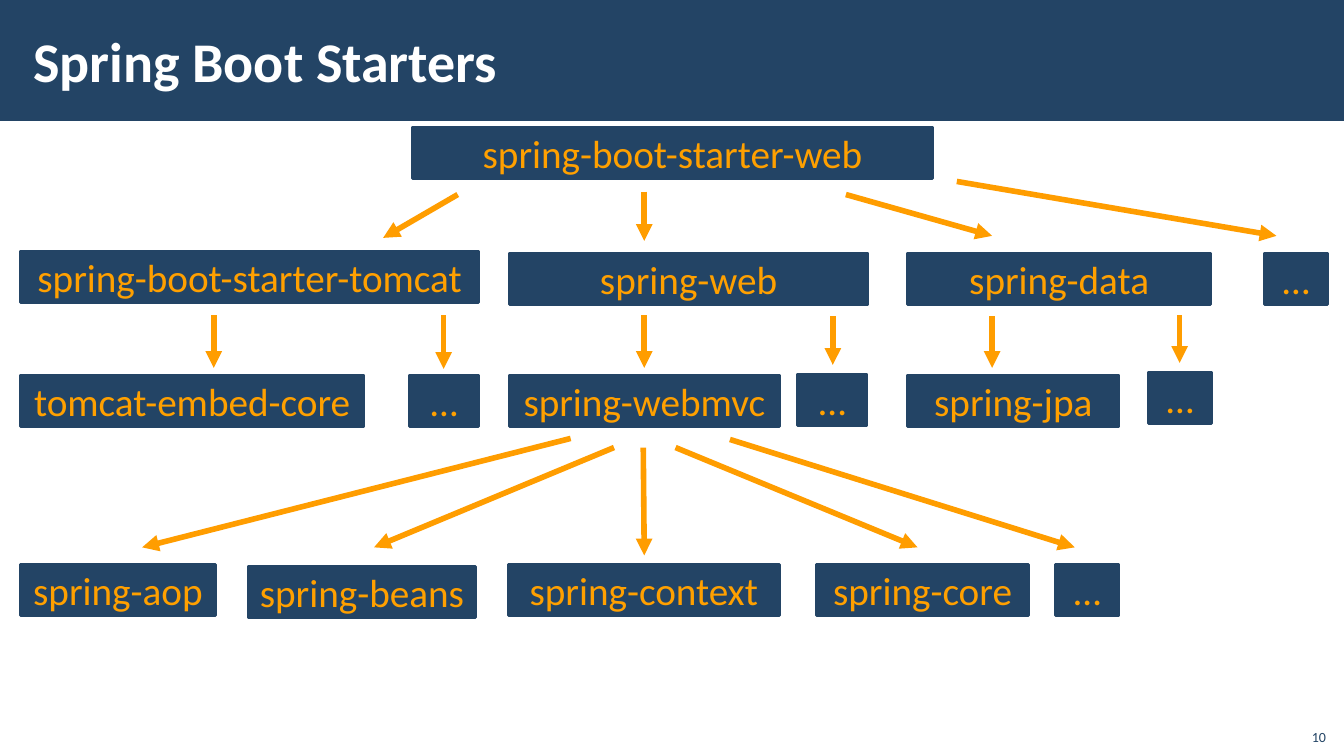
from lxml import etree
from pptx import Presentation
from pptx.dml.color import RGBColor
from pptx.enum.shapes import MSO_CONNECTOR, MSO_SHAPE
from pptx.enum.text import MSO_ANCHOR, MSO_AUTO_SIZE, PP_ALIGN
from pptx.oxml.ns import qn
from pptx.util import Inches, Pt

NAVY = RGBColor(0x23, 0x44, 0x65)
AMBER = RGBColor(0xFF, 0xA0, 0x00)
ORANGE = RGBColor(0xFF, 0x9D, 0x00)
WHITE = RGBColor(0xFF, 0xFF, 0xFF)
RECT, STRAIGHT = MSO_SHAPE.RECTANGLE, MSO_CONNECTOR.STRAIGHT
LEFT, CENTER, RIGHT = PP_ALIGN.LEFT, PP_ALIGN.CENTER, PP_ALIGN.RIGHT
MIDDLE, BOTTOM = MSO_ANCHOR.MIDDLE, MSO_ANCHOR.BOTTOM

prs = Presentation()
prs.slide_width, prs.slide_height = Inches(13.33), Inches(7.5)
s = prs.slides.add_slide(prs.slide_layouts[5])


def write(sp, text, size, color, align=CENTER, anchor=MIDDLE, bold=False):
    tf = sp.text_frame
    tf.auto_size = MSO_AUTO_SIZE.NONE
    tf.word_wrap = False
    tf.vertical_anchor = anchor
    p = tf.paragraphs[0]
    p.alignment = align
    r = p.add_run()
    r.text = text
    for name, value in {"name": "Calibri", "size": Pt(size), "bold": bold}.items():
        setattr(r.font, name, value)
    r.font.color.rgb = color


def add_box(left, top, width, height):
    sp = s.shapes.add_shape(RECT, *map(Inches, (left, top, width, height)))
    sp.shadow.inherit = False
    sp.fill.solid()
    sp.fill.fore_color.rgb = NAVY
    sp.line.color.rgb = NAVY
    sp.line.width = Pt(2)
    return sp


# Header band, with the title in front of it
band = add_box(0, 0, 13.33, 1.2)
band.line.fill.background()
title = s.shapes.title
band.element.addnext(title.element)
title.left, title.top, title.width, title.height = map(Inches, (0.21, 0.11, 10.63, 0.97))
tf = title.text_frame
tf.margin_left = tf.margin_right = Inches(0.12)
tf.margin_top = tf.margin_bottom = Inches(0.04)
write(title, "Spring Boot Starters", 40, WHITE, align=LEFT, bold=True)

# Dependency boxes, level by level: text, left, top, width
boxes = [
    ("spring-boot-starter-web", 4.09, 1.26, 5.16),
    ("spring-boot-starter-tomcat", 0.2, 2.49, 4.55),
    ("spring-web", 5.05, 2.51, 3.56),
    ("spring-data", 9, 2.51, 3.01),
    ("…", 12.54, 2.51, 0.63),
    ("tomcat-embed-core", 0.2, 3.72, 3.41),
    ("…", 4.06, 3.72, 0.69),
    ("spring-webmvc", 5.05, 3.72, 2.68),
    ("…", 7.91, 3.71, 0.69),
    ("spring-jpa", 9, 3.72, 2.1),
    ("…", 11.39, 3.69, 0.63),
    ("spring-aop", 0.2, 5.6, 1.94),
    ("spring-beans", 2.46, 5.62, 2.26),
    ("spring-context", 5.04, 5.6, 2.69),
    ("spring-core", 8.1, 5.6, 2.1),
    ("…", 10.47, 5.6, 0.63),
]
for text, left, top, width in boxes:
    write(add_box(left, top, width, 0.51), text, 28, AMBER)

# Arrows from each level to the next: x1, y1, x2, y2
arrows = [
    (4.54, 1.93, 3.8, 2.36),
    (6.39, 1.9, 6.39, 2.39),
    (8.39, 1.93, 9.84, 2.34),
    (9.49, 1.8, 12.66, 2.34),
    (2.12, 3.13, 2.12, 3.65),
    (4.4, 3.13, 4.4, 3.66),
    (6.39, 3.13, 6.39, 3.65),
    (8.26, 3.14, 8.26, 3.62),
    (9.84, 3.14, 9.84, 3.65),
    (11.7, 3.13, 11.7, 3.6),
    (5.66, 4.35, 1.41, 5.43),
    (6.09, 4.44, 3.71, 5.43),
    (6.38, 4.44, 6.39, 5.51),
    (6.7, 4.44, 9.1, 5.43),
    (7.24, 4.36, 10.66, 5.43),
]
for ends in arrows:
    arrow = s.shapes.add_connector(STRAIGHT, *map(Inches, ends))
    arrow.line.color.rgb = ORANGE
    arrow.line.width = Pt(4)
    etree.SubElement(arrow.line._get_or_add_ln(), qn("a:tailEnd"), type="triangle")
    etree.SubElement(arrow.element.spPr, qn("a:effectLst"))

# Slide number
number = s.shapes.add_textbox(*map(Inches, (12.85, 7.12, 0.4, 0.32)))
write(number, "10", 10, NAVY, align=RIGHT, anchor=BOTTOM)

prs.save("out.pptx")
